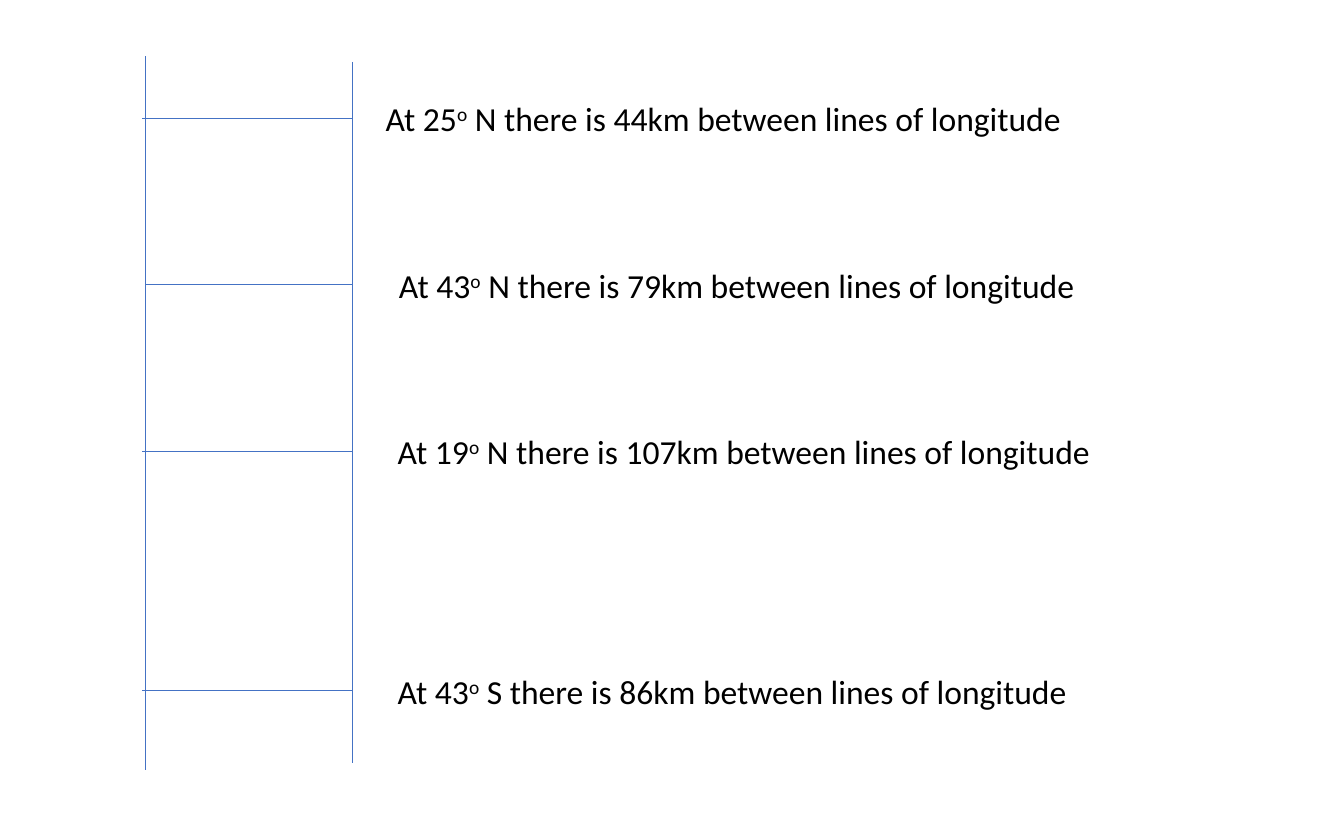
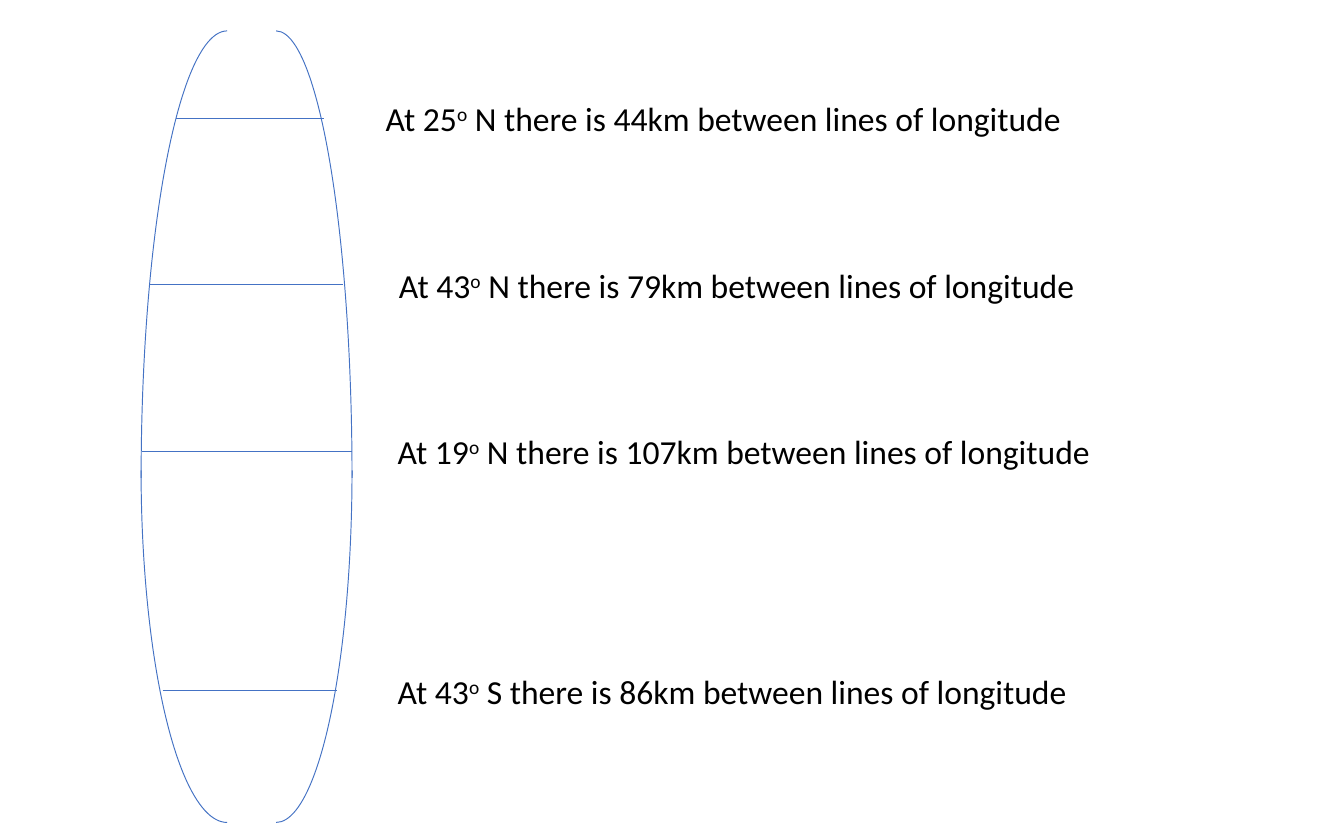
from dataclasses import dataclass

from lxml import etree
from pptx import Presentation
from pptx.dml.color import RGBColor
from pptx.enum.shapes import MSO_CONNECTOR, MSO_SHAPE
from pptx.enum.text import MSO_AUTO_SIZE
from pptx.oxml.ns import qn
from pptx.util import Inches, Pt

STRAIGHT = MSO_CONNECTOR.STRAIGHT
ARC = MSO_SHAPE.ARC
GROW = MSO_AUTO_SIZE.SHAPE_TO_FIT_TEXT
BLANK_LAYOUT = 6


@dataclass(frozen=True)
class Theme:
    line = RGBColor(0x44, 0x72, 0xC4)
    text = RGBColor(0, 0, 0)
    font = "Calibri"
    size = Pt(18)
    line_width = Pt(0.5)


@dataclass(frozen=True)
class Box:
    """A region measured in columns and rows of the slide grid."""
    left: float
    top: float
    width: float
    height: float


@dataclass(frozen=True)
class Parallel:
    row: float
    degrees: int
    hemisphere: str
    distance: int
    label_indent: float


THEME = Theme()
COLUMNS, ROWS = 100, 62.5
FIRST_ROW, ROW_STEP = 8.8, 12.4
GLOBE = Box(10.5, 0, 15.7, ROWS)
LABELS = Box(27.7, 0, 59.5, ROWS)
LABEL_HEIGHT = 4

PARALLELS = [
    Parallel(FIRST_ROW, 25, "N", 44, 0),
    Parallel(FIRST_ROW + ROW_STEP, 43, "N", 79, 1),
    Parallel(FIRST_ROW + 2 * ROW_STEP, 19, "N", 107, 0.9),
    Parallel(51.4, 43, "S", 86, 0.9),
]
# Start and end columns of each parallel, from the left of the globe
FLAT_SPANS = [(0.1, 15.7), (0.3, 15.8), (0.1, 15.7), (0.1, 15.7)]
ROUND_SPANS = [(2.6, 13.6), (0.7, 15), (0.1, 15.7), (1.6, 14.6)]
# Column, first row and last row of each straight meridian
MERIDIANS = [(0.3, 4.2, 57.3), (15.7, 4.6, 56.8)]
# Left column, width and horizontal flip of each curved meridian
ARC_SIDES = [(4.4, 11.3, False), (0, 12.8, True)]
# Top row, height and vertical flip of each half of a curved meridian
ARC_HALVES = [(2.3, 66.5, False), (8.8, 52.4, True)]


def grid(cells):
    return Inches(cells / 10)


def style_line(line):
    line.color.rgb = THEME.line
    line.width = THEME.line_width


def add_line(page, box, start, end):
    points = [grid(cells) for x, y in (start, end)
              for cells in (box.left + x, box.top + y)]
    connector = page.shapes.add_connector(STRAIGHT, *points)
    style_line(connector.line)
    etree.SubElement(connector.element.spPr, qn("a:effectLst"))


def add_label(page, box, parallel):
    """Write the distance beside a parallel, centred on its row."""
    cells = (box.left + parallel.label_indent,
             box.top + parallel.row - LABEL_HEIGHT / 2,
             box.width, LABEL_HEIGHT)
    frame = page.shapes.add_textbox(*map(grid, cells)).text_frame
    frame.word_wrap = True
    frame.auto_size = GROW
    para = frame.paragraphs[0]
    ending = (f" {parallel.hemisphere} there is {parallel.distance}km"
              " between lines of longitude")
    for text, baseline in ((f"At {parallel.degrees}", 0), ("o", 30000), (ending, 0)):
        span = para.add_run()
        span.text = text
        for name, value in {"name": THEME.font, "size": THEME.size}.items():
            setattr(span.font, name, value)
        span.font.color.rgb = THEME.text
        if baseline:
            span.font._element.set("baseline", str(baseline))


def add_parallels(page, spans):
    for parallel, (start, end) in zip(PARALLELS, spans):
        add_line(page, GLOBE, (start, parallel.row), (end, parallel.row))
        add_label(page, LABELS, parallel)


def add_straight_meridians(page, box):
    for column, first, last in MERIDIANS:
        add_line(page, box, (column, first), (column, last))


def add_curved_meridians(page, box):
    for left, width, flip_h in ARC_SIDES:
        for top, height, flip_v in ARC_HALVES:
            cells = (box.left + left, box.top + top, width, height)
            arc = page.shapes.add_shape(ARC, *map(grid, cells))
            arc.shadow.inherit = False
            arc.fill.background()
            style_line(arc.line)
            for name, flipped in {"flipH": flip_h, "flipV": flip_v}.items():
                if flipped:
                    arc.element.spPr.xfrm.set(name, "1")


def main():
    deck = Presentation()
    deck.slide_width, deck.slide_height = grid(COLUMNS), grid(ROWS)
    blank = deck.slide_layouts[BLANK_LAYOUT]

    flat_page = deck.slides.add_slide(blank)
    add_straight_meridians(flat_page, GLOBE)
    add_parallels(flat_page, FLAT_SPANS)

    round_page = deck.slides.add_slide(blank)
    add_parallels(round_page, ROUND_SPANS)
    add_curved_meridians(round_page, GLOBE)

    deck.save("out.pptx")


if __name__ == "__main__":
    main()
